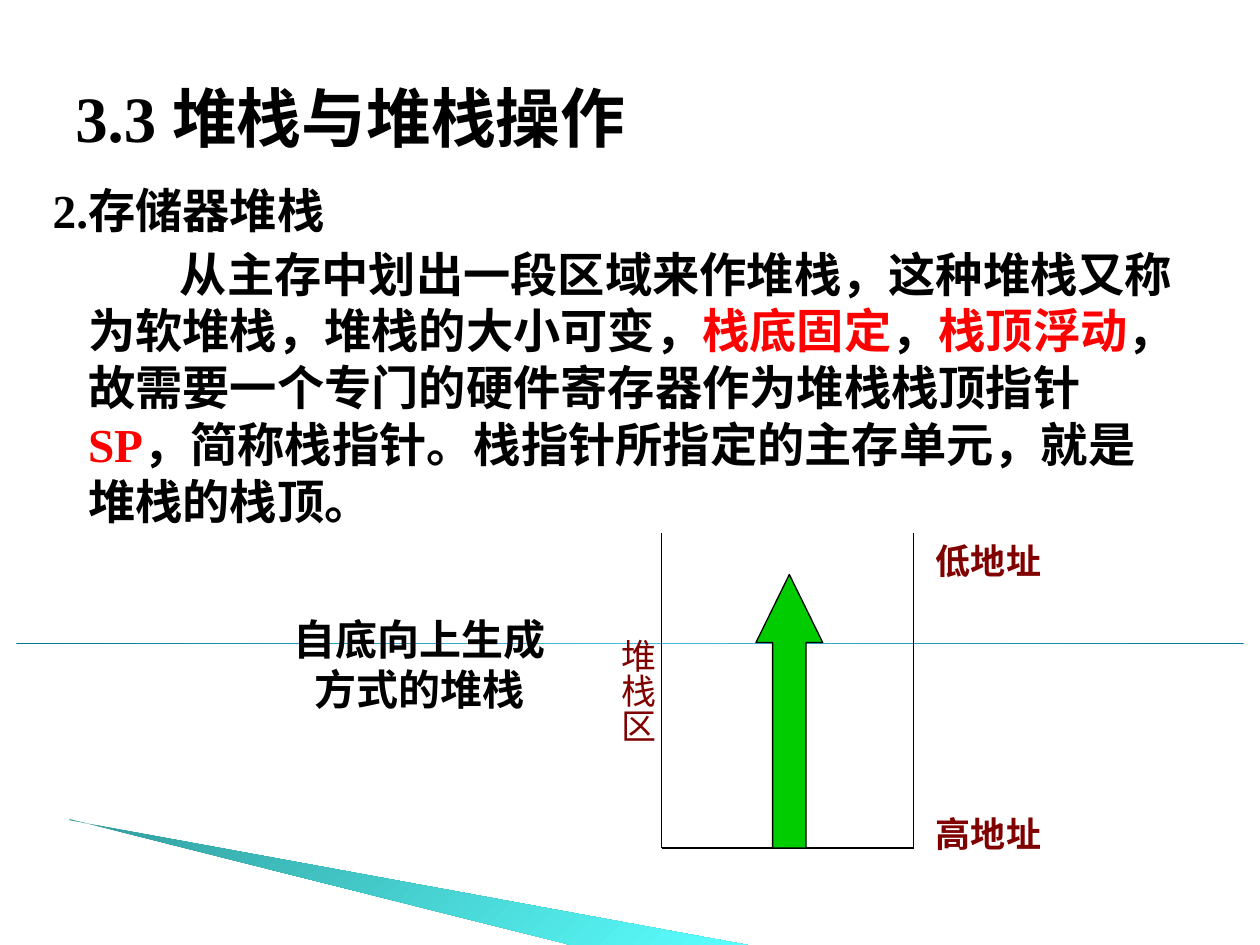
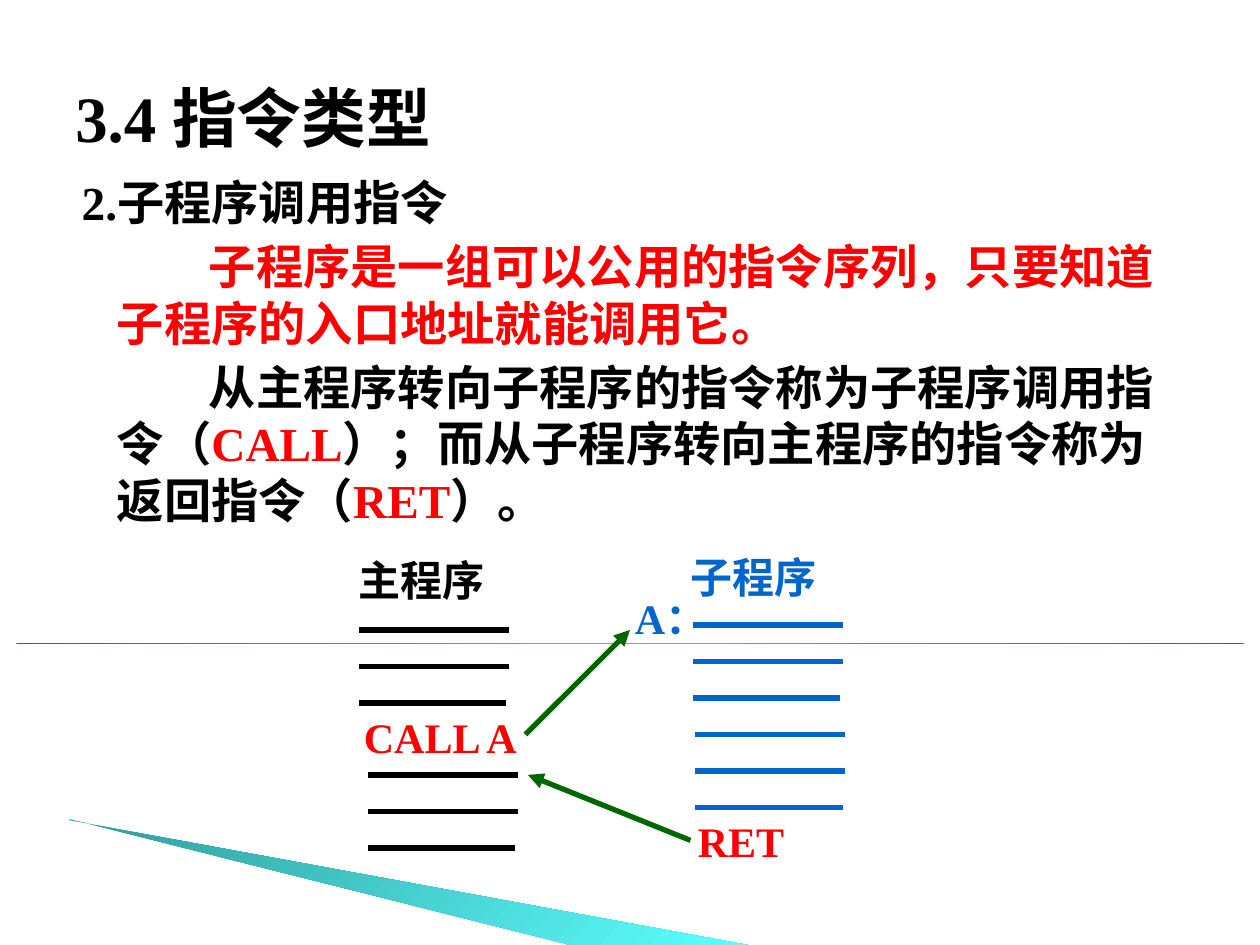
from dataclasses import dataclass

from lxml import etree
from pptx import Presentation
from pptx import util as u
from pptx.dml.color import RGBColor
from pptx.enum import shapes, text
from pptx.oxml import parse_xml
from pptx.oxml.ns import nsdecls, qn


@dataclass(frozen=True)
class Theme:
    latin: str = "Times New Roman"
    cjk: str = "Noto Sans CJK SC"
    ink: str = "000000"
    accent: str = "FF0000"
    address: str = "800000"
    growth: str = "00CC00"
    subroutine: str = "0066CC"
    jump: str = "006600"
    rule: tuple = ((0, "007897"), (50, "4ABBE0"), (100, "007897"))
    wedge: tuple = ((0, "319C9C"), (100, "5BFFFF"))
    title: int = 37
    body: int = 27
    caption: int = 24
    label: int = 20
    leading: float = 1.2
    thin: float = 0.75
    thick: float = 3


T = Theme()
COLS, ROWS = 10, 7.5
CELL = u.Inches(1)


@dataclass(frozen=True)
class Box:
    """A region in grid cells; at() gives a region measured from its corner."""
    x: float
    y: float
    w: float
    h: float

    def at(self, x, y, w=0, h=0):
        return Box(self.x + x, self.y + y, w, h)

    def emu(self):
        return [round(v * CELL) for v in (self.x, self.y, self.w, self.h)]


PAGE = Box(0, 0, COLS, ROWS)


def rgb(color):
    return RGBColor.from_string(color)


def fill_gradient(sp, stops, angle):
    sp.shadow.inherit = False
    sp.line.fill.background()
    sp.fill.background()
    gs = "".join(f'<a:gs pos="{pos * 1000}"><a:srgbClr val="{c}"/></a:gs>'
                 for pos, c in stops)
    grad = parse_xml(f'<a:gradFill {nsdecls("a")} rotWithShape="1">'
                     f'<a:gsLst>{gs}</a:gsLst>'
                     f'<a:lin ang="{angle * 60000}" scaled="0"/></a:gradFill>')
    spPr = sp._element.spPr
    spPr.replace(spPr.find(qn("a:noFill")), grad)


def add_text(s, box, paras, size, color=T.ink, bold=True, align=None,
             anchor=text.MSO_ANCHOR.TOP, indents=(), before=0):
    """Each paragraph is a string or a list of (text, colour or None) runs."""
    sp = s.shapes.add_textbox(*box.emu())
    tf = sp.text_frame
    tf.word_wrap = True
    tf.vertical_anchor = anchor
    for i, runs in enumerate(paras):
        p = tf.paragraphs[0] if i == 0 else tf.add_paragraph()
        p.alignment = align
        p.line_spacing = u.Pt(size * T.leading)
        if i and before:
            p.space_before = u.Pt(before)
        pPr = p._p.get_or_add_pPr()
        if indents:
            left, first = indents[min(i, len(indents) - 1)]
            pPr.set("marL", str(u.Inches(left)))
            pPr.set("indent", str(u.Inches(first)))
        f = p.font
        f.name, f.size, f.bold = T.latin, u.Pt(size), bold
        f.color.rgb = rgb(color)
        etree.SubElement(pPr.find(qn("a:defRPr")), qn("a:ea"), typeface=T.cjk)
        for words, tint in [(runs, None)] if isinstance(runs, str) else runs:
            r = p.add_run()
            r.text = words
            if tint:
                r.font.color.rgb = rgb(tint)
    return sp


def add_line(s, start, end, color, width, arrow=False):
    ends = [round(v * CELL) for v in (start.x, start.y, end.x, end.y)]
    c = s.shapes.add_connector(shapes.MSO_CONNECTOR.STRAIGHT, *ends)
    c.line.color.rgb = rgb(color)
    c.line.width = u.Pt(width)
    if arrow:
        etree.SubElement(c.line._get_or_add_ln(), qn("a:tailEnd"), type="triangle")
    etree.SubElement(c._element.spPr, qn("a:effectLst"))


def draw_backdrop(s, box):
    rule = s.shapes.add_shape(shapes.MSO_SHAPE.RECTANGLE,
                              *box.at(0.13, 5.1, box.w - 0.26, 0.01).emu())
    fill_gradient(rule, T.rule, 0)
    tip, *rest = [(round(x * CELL), round(y * CELL)) for x, y in
                  ((0.55, 6.51), (5.93, box.h), (4.53, box.h), (0.55, 6.5))]
    fb = s.shapes.build_freeform(*tip)
    fb.add_line_segments(rest, close=True)
    fill_gradient(fb.convert_to_shape(), T.wedge, 45)


def add_page(prs, title, body_box, body):
    s = prs.slides.add_slide(prs.slide_layouts[6])
    draw_backdrop(s, PAGE)
    add_text(s, PAGE.at(0.5, 0.3, 9, 1.25), [title], T.title,
             anchor=text.MSO_ANCHOR.MIDDLE)
    add_text(s, body_box, body, T.body, before=4,
             indents=((0.4, -0.28), (0.4, 0.73)))
    return s


def draw_stack(s, box):
    """Open-topped memory area that grows upward, with its address labels."""
    corners = [box, box.at(0, box.h), box.at(box.w, box.h), box.at(box.w, 0)]
    for start, end in zip(corners, corners[1:]):
        add_line(s, start, end, T.ink, T.thin)
    arrow = s.shapes.add_shape(shapes.MSO_SHAPE.UP_ARROW,
                               *box.at(0.75, 0.33, 0.53, box.h - 0.33).emu())
    arrow.adjustments[0], arrow.adjustments[1] = 0.5, 1.02
    arrow.shadow.inherit = False
    arrow.fill.solid()
    arrow.fill.fore_color.rgb = rgb(T.growth)
    arrow.line.color.rgb = rgb(T.ink)
    arrow.line.width = u.Pt(T.thin)
    for name, y in (("低地址", 0), ("高地址", 2.17)):
        add_text(s, box.at(box.w + 0.08, y, 1.33, 0.44), [name], T.label, T.address)
    area = add_text(s, box.at(-0.5, 0.74, 0.53, 1.05), ["堆栈区"], T.label,
                    T.address, bold=False)
    tf = area.text_frame
    tf.margin_left = tf.margin_right = u.Inches(0.05)
    tf.margin_top = tf.margin_bottom = u.Inches(0.1)
    tf._txBody.bodyPr.set("vert", "eaVert")


def draw_code(s, box, color):
    """Three code lines spread over the box, the last a little shorter."""
    for i in range(3):
        y = i * box.h / 2
        add_line(s, box.at(0, y), box.at(box.w - (0.02 if i == 2 else 0), y),
                 color, T.thick)


def draw_call(s, box):
    """Main program at the left, subroutine at the right, jumps between them."""
    for x, y, color in ((0.1, 0.67, T.ink), (0.17, 1.82, T.ink),
                        (2.75, 0.63, T.subroutine), (2.77, 1.5, T.subroutine)):
        draw_code(s, box.at(x, y, 1.19, 0.58), color)
    for words, x, y, color in (("主程序", 0, 0.02, T.ink),
                               ("CALL A", 0.04, 1.27, T.accent),
                               ("子程序", 2.63, 0, T.subroutine),
                               ("RET", 2.69, 2.09, T.accent),
                               ("A：", 2.19, 0.32, T.subroutine)):
        add_text(s, box.at(x, y, 1.5, 0.5), [words], T.caption, color)
    add_line(s, box.at(1.42, 1.5), box.at(2.25, 0.67), T.jump, T.thick, True)
    add_line(s, box.at(2.73, 2.34), box.at(1.44, 1.82), T.jump, T.thick, True)


def build_stack_slide(prs):
    s = add_page(prs, "3.3 堆栈与堆栈操作", PAGE.at(0.2, 1.39, 9.25, 5.69), [
        "2.存储器堆栈",
        [("从主存中划出一段区域来作堆栈，这种堆栈又称为软堆栈，堆栈的大小可变，", None),
         ("栈底固定", T.accent), ("，", None), ("栈顶浮动", T.accent),
         ("，故需要一个专门的硬件寄存器作为堆栈栈顶指针", None), ("SP", T.accent),
         ("，简称栈指针。栈指针所指定的主存单元，就是堆栈的栈顶。", None)]])
    draw_stack(s, PAGE.at(5.25, 4.23, 2, 2.5))
    add_text(s, PAGE.at(2.08, 4.82, 2.5, 0.9), ["自底向上生成", "方式的堆栈"],
             T.caption, align=text.PP_ALIGN.CENTER)


def build_call_slide(prs):
    s = add_page(prs, "3.4 指令类型", PAGE.at(0.43, 1.33, 9, 6.17), [
        "2.子程序调用指令",
        [("子程序是一组可以公用的指令序列，只要知道子程序的入口地址就能调用它。", T.accent)],
        [("从主程序转向子程序的指令称为子程序调用指令（", None), ("CALL", T.accent),
         ("）；而从子程序转向主程序的指令称为返回指令（", None), ("RET", T.accent),
         ("）。", None)]])
    draw_call(s, PAGE.at(2.75, 4.33, 4.1, 2.6))


def main():
    prs = Presentation()
    prs.slide_width, prs.slide_height = PAGE.emu()[2:]
    build_stack_slide(prs)
    build_call_slide(prs)
    prs.save("out.pptx")


if __name__ == "__main__":
    main()
